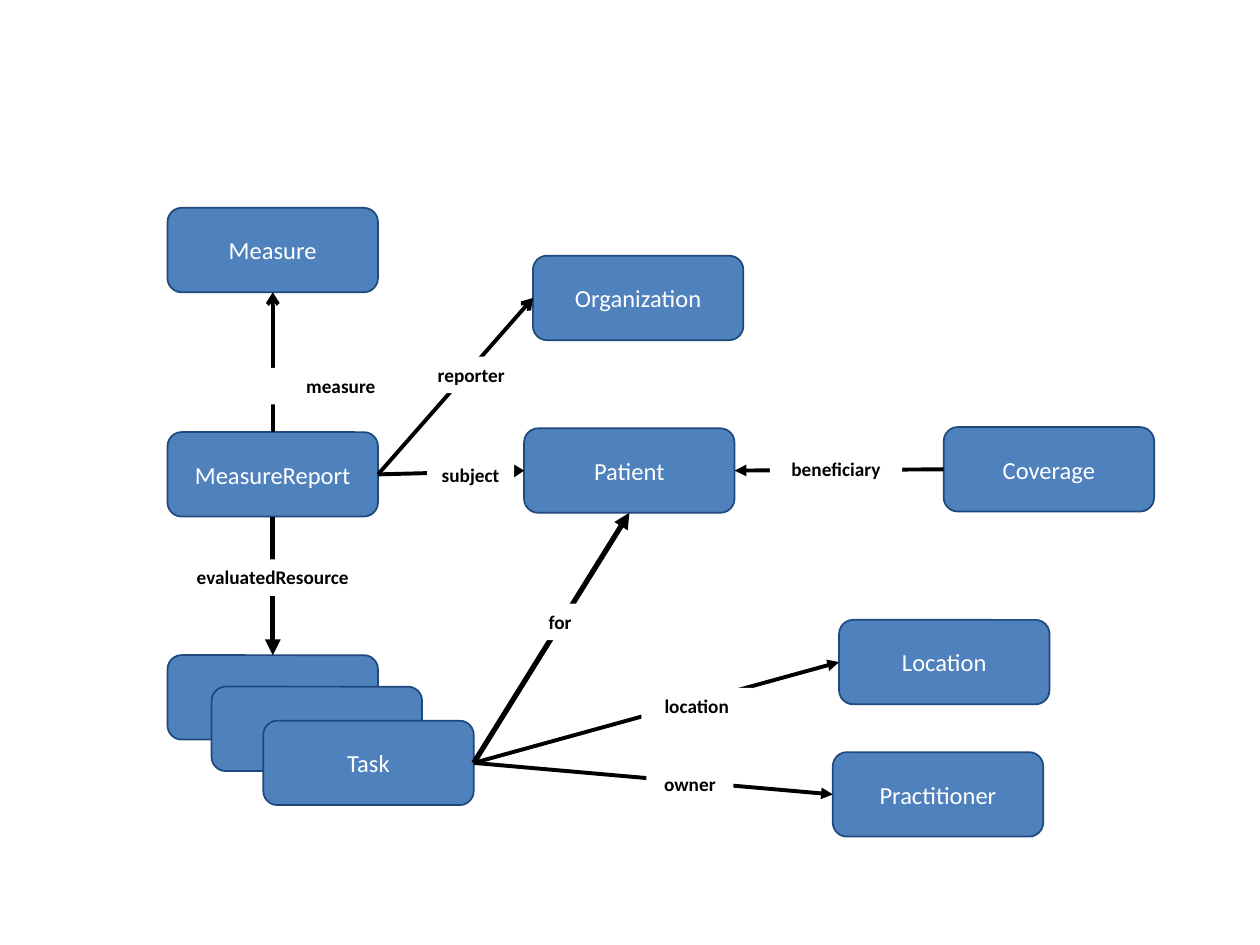
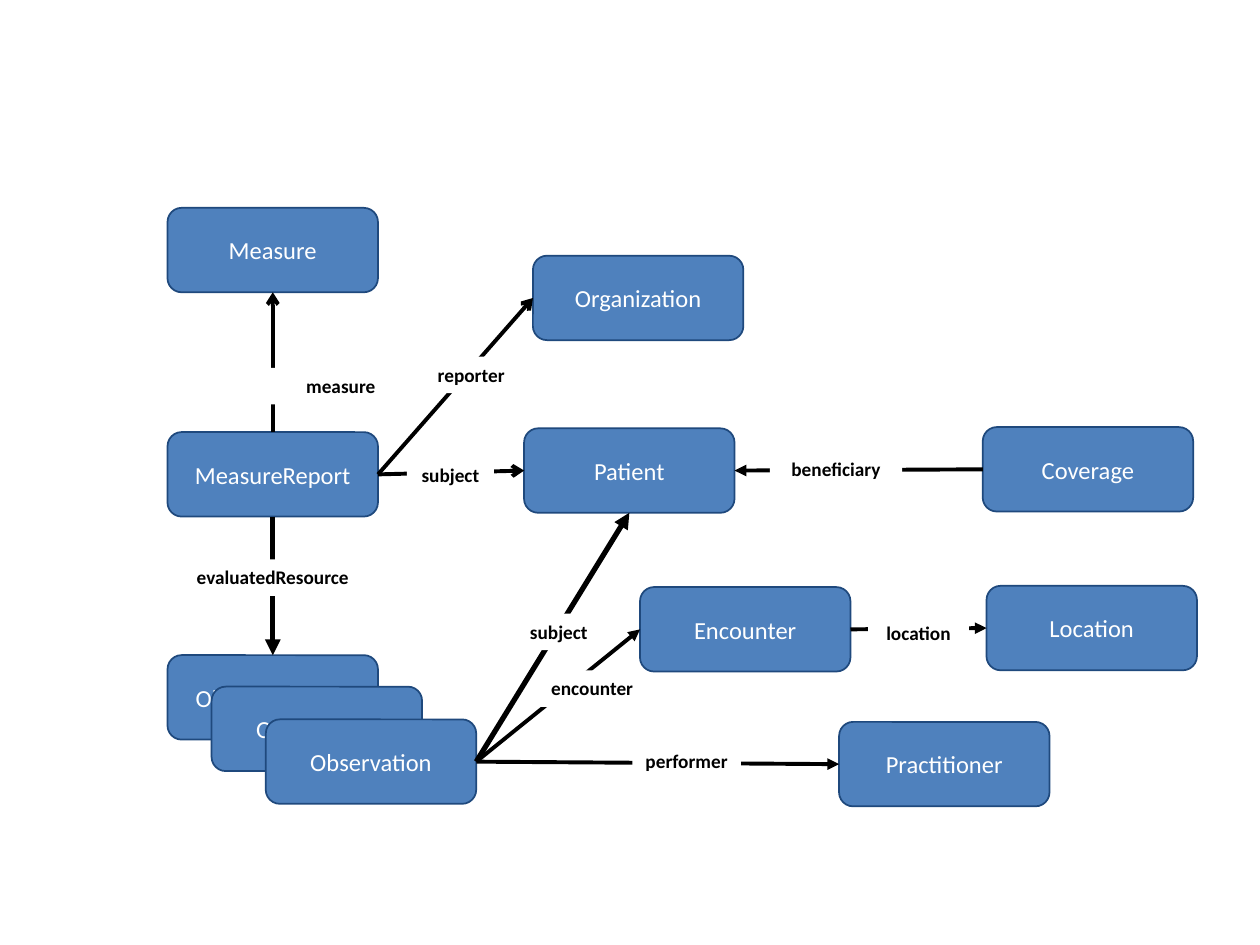
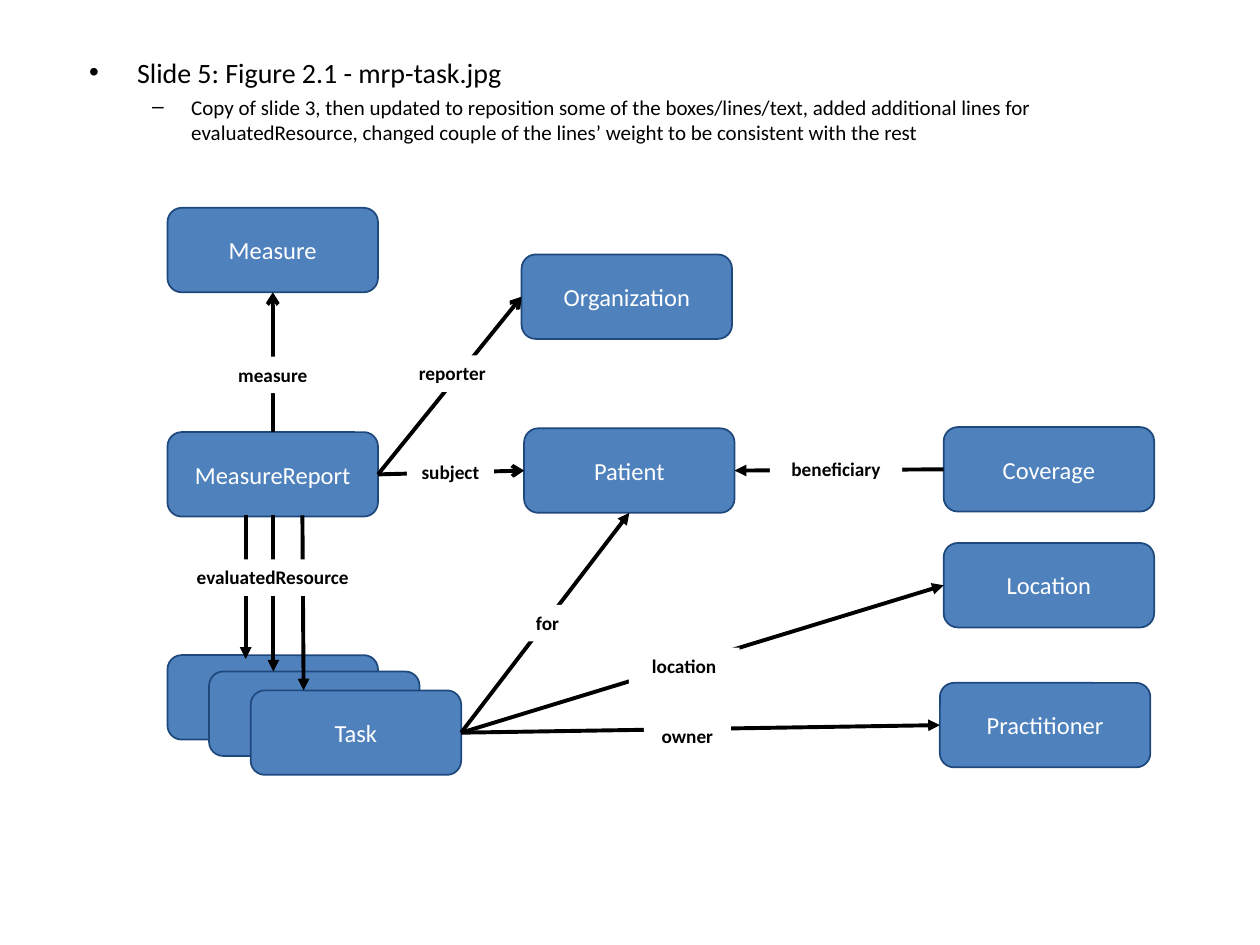
import dataclasses
import enum
import typing

import lxml.etree
import pptx
import pptx.dml.color
import pptx.enum.shapes
import pptx.enum.text
import pptx.oxml.ns
import pptx.shapes.connector
import pptx.slide
import pptx.text.text
import pptx.util

Inches = pptx.util.Inches
Pt = pptx.util.Pt
RGBColor = pptx.dml.color.RGBColor
qn = pptx.oxml.ns.qn


@dataclasses.dataclass(frozen=True)
class Theme:
    font: str = "Calibri"
    ink: RGBColor = RGBColor(0x00, 0x00, 0x00)
    paper: RGBColor = RGBColor(0xFF, 0xFF, 0xFF)
    node_fill: RGBColor = RGBColor(0x4F, 0x81, 0xBD)
    node_edge: RGBColor = RGBColor(0x1F, 0x49, 0x7D)
    node_size: float = 14
    label_size: float = 11
    node_width: float = 1.67
    node_height: float = 0.67
    label_height: float = 0.29
    thin: float = 2.25
    thick: float = 3


THEME = Theme()


class Side(enum.IntEnum):
    """Connection sites of a node, in the order the shape numbers them."""
    TOP = 0
    LEFT = 1
    BOTTOM = 2
    RIGHT = 3


@dataclasses.dataclass(frozen=True)
class Node:
    text: str
    left: float
    top: float


@dataclasses.dataclass(frozen=True)
class Label:
    text: str
    left: float
    top: float
    width: float


@dataclasses.dataclass(frozen=True)
class Link:
    """An arrow glued to a side of each of two nodes."""
    source: Node
    source_side: Side
    target: Node
    target_side: Side
    head: str = "triangle"
    weight: float = THEME.thin


@dataclasses.dataclass(frozen=True)
class Arrow:
    """An arrow between two free points."""
    start: tuple[float, float]
    end: tuple[float, float]


@dataclasses.dataclass(frozen=True)
class Bullet:
    text: str
    mark: str
    level: int
    margin: float
    hanging: float
    size: float
    space_before: float = 0


@dataclasses.dataclass(frozen=True)
class Diagram:
    nodes: list[Node]
    links: list[Link]
    labels: list[Label]
    arrows: typing.Sequence[Arrow] = ()
    notes: typing.Sequence[Bullet] = ()


MEASURE = Node("Measure", 1.33, 1.65)
REPORT = Node("MeasureReport", 1.33, 3.43)
PATIENT = Node("Patient", 4.16, 3.4)
ORGANIZATION = Node("Organization", 4.23, 2.03)
COVERAGE = Node("Coverage", 7.49, 3.39)

MEASURE_LABEL = Label("measure", 2.08, 2.92, 1.25)
REPORTER_LABEL = Label("reporter", 3.24, 2.83, 1)
SHARED_LABELS = [
    Label("evaluatedResource", 1.27, 4.44, 1.79),
    Label("beneficiary", 6.11, 3.58, 1.05),
]


def report_links(organization: Node, coverage: Node) -> list[Link]:
    return [
        Link(REPORT, Side.TOP, MEASURE, Side.BOTTOM, "arrow"),
        Link(REPORT, Side.RIGHT, organization, Side.LEFT, "arrow"),
        Link(REPORT, Side.RIGHT, PATIENT, Side.LEFT, "arrow"),
        Link(coverage, Side.LEFT, PATIENT, Side.RIGHT),
    ]


def resource_links(resource: Node, targets: list[Node], patient_weight: float) -> list[Link]:
    """Arrows from the front resource up to the patient and across to the targets."""
    across = [Link(resource, Side.RIGHT, target, Side.LEFT) for target in targets]
    return [Link(resource, Side.RIGHT, PATIENT, Side.BOTTOM, weight=patient_weight), *across]


def evaluated_link(resource: Node) -> Link:
    return Link(REPORT, Side.BOTTOM, resource, Side.TOP, weight=THEME.thick)


def task_diagram() -> Diagram:
    tasks = [Node("Task", 1.33, 5.2), Node("Task", 1.68, 5.45), Node("Task", 2.09, 5.72)]
    targets = [Node("Location", 6.66, 4.92), Node("Practitioner", 6.61, 5.97)]
    return Diagram(
        nodes=[MEASURE, REPORT, *tasks, ORGANIZATION, PATIENT, *targets, COVERAGE],
        links=[
            *report_links(ORGANIZATION, COVERAGE),
            evaluated_link(tasks[0]),
            *resource_links(tasks[-1], targets, THEME.thick),
        ],
        labels=[
            MEASURE_LABEL,
            REPORTER_LABEL,
            *SHARED_LABELS,
            Label("subject", 3.39, 3.63, 0.69),
            Label("location", 5.09, 5.46, 0.88),
            Label("owner", 5.13, 6.08, 0.69),
            Label("for", 4.1, 4.79, 0.69),
        ],
    )


def observation_diagram() -> Diagram:
    observations = [
        Node("Observationask", 1.33, 5.2),
        Node("Observation", 1.68, 5.45),
        Node("Observation", 2.11, 5.71),
    ]
    practitioner = Node("Practitioner", 6.66, 5.73)
    encounter = Node("Encounter", 5.08, 4.66)
    location = Node("Location", 7.83, 4.65)
    coverage = Node("Coverage", 7.8, 3.39)
    return Diagram(
        nodes=[MEASURE, REPORT, *observations, ORGANIZATION, PATIENT,
               practitioner, location, coverage, encounter],
        links=[
            *report_links(ORGANIZATION, coverage),
            evaluated_link(observations[0]),
            *resource_links(observations[-1], [practitioner, encounter], THEME.thick),
            Link(encounter, Side.RIGHT, location, Side.LEFT),
        ],
        labels=[
            MEASURE_LABEL,
            REPORTER_LABEL,
            *SHARED_LABELS,
            Label("subject", 3.23, 3.63, 0.69),
            Label("performer", 5.02, 5.9, 0.86),
            Label("subject", 4.09, 4.87, 0.69),
            Label("location", 6.89, 4.88, 0.8),
            Label("encounter", 4.27, 5.32, 0.86),
        ],
    )


def revised_task_diagram() -> Diagram:
    tasks = [Node("", 1.33, 5.2), Node("Task", 1.66, 5.33), Node("Task", 1.99, 5.48)]
    organization = Node("Organization", 4.14, 2.02)
    targets = [Node("Location", 7.49, 4.31), Node("Practitioner", 7.46, 5.42)]
    return Diagram(
        nodes=[MEASURE, REPORT, *tasks, organization, PATIENT, *targets, COVERAGE],
        links=[
            *report_links(organization, COVERAGE),
            *resource_links(tasks[-1], targets, THEME.thin),
        ],
        labels=[
            dataclasses.replace(MEASURE_LABEL, left=1.54, top=2.83),
            dataclasses.replace(REPORTER_LABEL, left=3.09, top=2.82),
            *SHARED_LABELS,
            Label("subject", 3.23, 3.6, 0.69),
            Label("location", 4.99, 5.14, 0.88),
            Label("owner", 5.11, 5.7, 0.69),
            Label("for", 4, 4.8, 0.69),
        ],
        arrows=[
            Arrow((1.95, 4.09), (1.95, 5.23)),
            Arrow((2.17, 4.09), (2.17, 5.33)),
            Arrow((2.4, 4.09), (2.41, 5.48)),
        ],
        notes=[
            Bullet("Slide 5: Figure 2.1 - mrp-task.jpg", "•", 0, 0.38, 0.38, 16),
            Bullet(
                "Copy of slide 3, then updated to reposition some of the boxes/lines/text, "
                "added additional lines for evaluatedResource, changed couple of the lines’ "
                "weight to be consistent with the rest",
                "–", 1, 0.81, 0.31, 12, space_before=3,
            ),
        ],
    )


def add_span(para: pptx.text.text._Paragraph, text: str, size: float,
             color: RGBColor, bold: bool = False) -> None:
    span = para.add_run()
    span.text = text
    span.font.name = THEME.font
    span.font.size = Pt(size)
    span.font.bold = bold
    span.font.color.rgb = color


def draw_node(page: pptx.slide.Slide, node: Node):
    box = page.shapes.add_shape(
        pptx.enum.shapes.MSO_SHAPE.FLOWCHART_ALTERNATE_PROCESS,
        Inches(node.left), Inches(node.top),
        Inches(THEME.node_width), Inches(THEME.node_height))
    box.shadow.inherit = False
    box.fill.solid()
    box.fill.fore_color.rgb = THEME.node_fill
    box.line.color.rgb = THEME.node_edge
    box.line.width = Pt(1)
    if node.text:
        box.text_frame.vertical_anchor = pptx.enum.text.MSO_ANCHOR.MIDDLE
        para = box.text_frame.paragraphs[0]
        para.alignment = pptx.enum.text.PP_ALIGN.CENTER
        add_span(para, node.text, THEME.node_size, THEME.paper)
    return box


def draw_label(page: pptx.slide.Slide, label: Label) -> None:
    box = page.shapes.add_textbox(
        Inches(label.left), Inches(label.top),
        Inches(label.width), Inches(THEME.label_height))
    box.fill.solid()
    box.fill.fore_color.rgb = THEME.paper
    box.text_frame.word_wrap = True
    box.text_frame.auto_size = pptx.enum.text.MSO_AUTO_SIZE.SHAPE_TO_FIT_TEXT
    para = box.text_frame.paragraphs[0]
    para.alignment = pptx.enum.text.PP_ALIGN.CENTER
    add_span(para, label.text, THEME.label_size, THEME.ink, bold=True)


def draw_arrow(page: pptx.slide.Slide, arrow: Arrow, head: str = "triangle",
               weight: float = THEME.thin) -> pptx.shapes.connector.Connector:
    points = [Inches(length) for length in (*arrow.start, *arrow.end)]
    connector = page.shapes.add_connector(
        pptx.enum.shapes.MSO_CONNECTOR.STRAIGHT, *points)
    connector.line.color.rgb = THEME.ink
    connector.line.width = Pt(weight)
    properties = connector._element.spPr
    lxml.etree.SubElement(properties.find(qn("a:ln")), qn("a:tailEnd"), type=head)
    lxml.etree.SubElement(properties, qn("a:effectLst"))
    return connector


def draw_notes(page: pptx.slide.Slide, notes: typing.Sequence[Bullet]) -> None:
    box = page.shapes.add_textbox(Inches(0.61), Inches(0.39), Inches(9), Inches(1.04))
    frame = box.text_frame
    frame.word_wrap = True
    for index, note in enumerate(notes):
        para = frame.add_paragraph() if index else frame.paragraphs[0]
        para.level = note.level
        properties = para._p.get_or_add_pPr()
        properties.set("marL", str(Inches(note.margin)))
        properties.set("indent", str(-Inches(note.hanging)))
        lxml.etree.SubElement(properties, qn("a:buFont"), typeface="Arial")
        lxml.etree.SubElement(properties, qn("a:buChar"), char=note.mark)
        para.space_before = Pt(note.space_before)
        add_span(para, note.text, note.size, THEME.ink)


def draw_diagram(page: pptx.slide.Slide, diagram: Diagram) -> None:
    boxes = {node: draw_node(page, node) for node in diagram.nodes}
    for link in diagram.links:
        connector = draw_arrow(page, Arrow((0, 0), (0, 0)), link.head, link.weight)
        connector.begin_connect(boxes[link.source], link.source_side.value)
        connector.end_connect(boxes[link.target], link.target_side.value)
    for arrow in diagram.arrows:
        draw_arrow(page, arrow)
    for label in diagram.labels:
        draw_label(page, label)
    if diagram.notes:
        draw_notes(page, diagram.notes)


def main() -> None:
    deck = pptx.Presentation()
    deck.slide_width = Inches(10)
    deck.slide_height = Inches(7.5)
    blank = deck.slide_layouts[6]
    for diagram in (task_diagram(), observation_diagram(), revised_task_diagram()):
        draw_diagram(deck.slides.add_slide(blank), diagram)
    deck.save("out.pptx")


if __name__ == "__main__":
    main()
